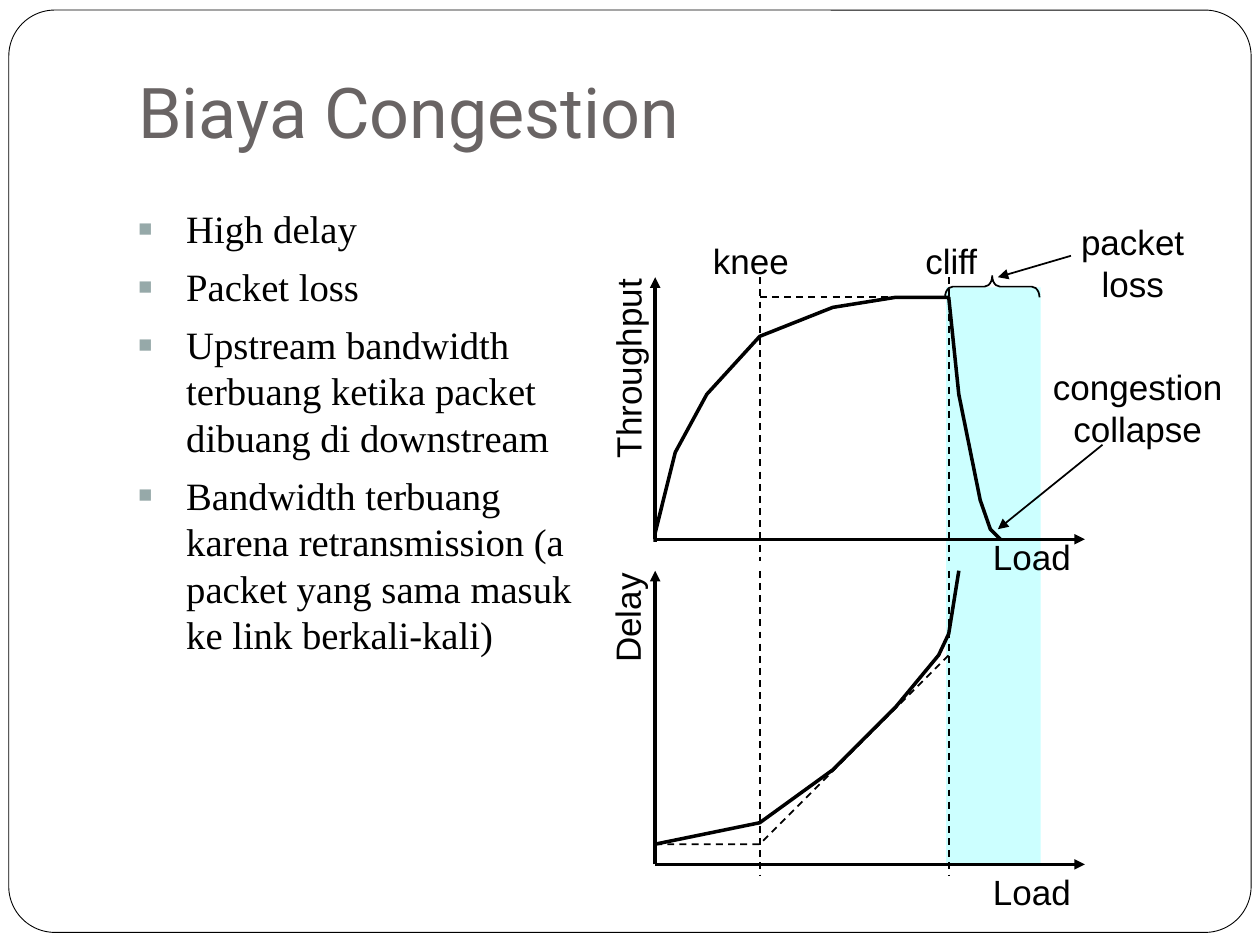
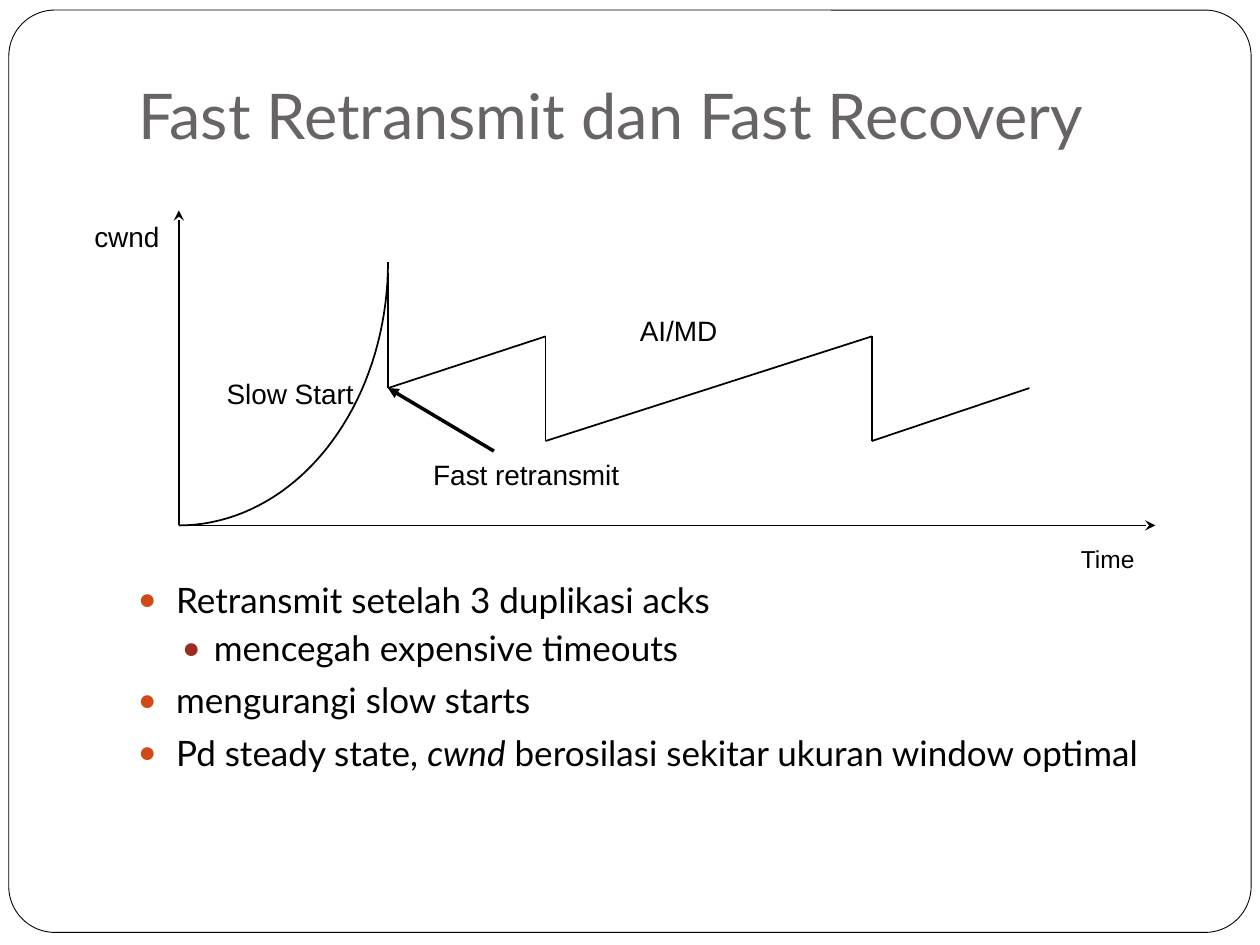
from dataclasses import dataclass
from itertools import pairwise
from math import cos, pi, sin

from lxml.etree import SubElement
from pptx import Presentation
from pptx.dml.color import RGBColor
from pptx.enum.dml import MSO_LINE_DASH_STYLE as Dash
from pptx.enum.shapes import MSO_CONNECTOR as Connector, MSO_SHAPE as Shape
from pptx.enum.text import MSO_ANCHOR as Anchor, MSO_AUTO_SIZE as AutoSize, PP_ALIGN as Align
from pptx.oxml.ns import qn
from pptx.util import Inches, Pt

BLACK, WHITE, TITLE_GREY, LOSS_CYAN = "000000", "FFFFFF", "696464", "CCFFFF"
LABEL_FONT = "Arial"
KNEE, CLIFF, LOAD_START, LOAD_END = 6.03, 7.53, 5.2, 8.61
Point = tuple[float, float]
Box = tuple[float, float, float, float]


@dataclass(frozen=True)
class BulletStyle:
    """Marker, indents and spacing of one list level."""
    marker: str
    color: str
    percent: int
    margin: float
    hanging: float
    before: float
    level: int = 0


@dataclass(frozen=True)
class Bullet:
    """One list item; asterisks enclose italic words."""
    text: str
    style: BulletStyle


@dataclass(frozen=True)
class Label:
    """Unwrapped caption of a diagram part."""
    text: str
    box: Box
    size: float = 20
    align: Align = Align.CENTER
    rotation: float = 0


@dataclass(frozen=True)
class LoadPlot:
    """Graph over load, with its knee and cliff guides."""
    axis_top: float
    axis_bottom: float
    guide_bottom: float
    curve: tuple[Point, ...]
    asymptote: tuple[Point, ...]


SQUARE = BulletStyle("■", "96A9A9", 60, 0.38, 0.38, 6.5)
DOT = BulletStyle("●", "D34817", 85, 0.3, 0.3, 5.8)
SUB_DOT = BulletStyle("●", "9B2D1F", 85, 0.6, 0.25, 3.7, level=1)

COSTS = (
    Bullet("High delay", SQUARE),
    Bullet("Packet loss", SQUARE),
    Bullet("Upstream bandwidth terbuang ketika packet dibuang di downstream", SQUARE),
    Bullet("Bandwidth terbuang karena retransmission (a packet yang sama masuk "
           "ke link berkali-kali)", SQUARE),
)
RECOVERY_POINTS = (
    Bullet("Retransmit setelah 3 duplikasi acks", DOT),
    Bullet("mencegah expensive timeouts", SUB_DOT),
    Bullet("mengurangi slow starts", DOT),
    Bullet("Pd steady state, *cwnd* berosilasi sekitar ukuran window optimal", DOT),
)
DELAY = LoadPlot(
    4.53, 6.86, 6.95,
    ((LOAD_START, 6.7), (KNEE, 6.53), (6.61, 6.11), (7.11, 5.61), (7.45, 5.2),
     (CLIFF, 5.03), (7.61, 4.53)),
    ((LOAD_START, 6.7), (KNEE, 6.7), (CLIFF, 5.2)),
)
THROUGHPUT = LoadPlot(
    2.2, 4.28, 4.45,
    ((LOAD_START, 4.3), (LOAD_START, 4.23), (5.36, 3.59), (5.61, 3.13), (KNEE, 2.67),
     (6.61, 2.44), (7.11, 2.36), (CLIFF, 2.36), (7.61, 3.13), (7.78, 3.97),
     (7.86, 4.2), (7.94, 4.28)),
    ((KNEE, 2.36), (CLIFF, 2.36)),
)
LOAD_LABELS = (
    Label("Load", (7.77, 6.86, 0.84, 0.43)),
    Label("Load", (7.77, 4.2, 0.84, 0.43)),
    Label("Delay", (4.51, 4.69, 0.93, 0.43), rotation=270),
    Label("Throughput", (4.16, 2.71, 1.64, 0.43), rotation=270),
    Label("knee", (5.53, 1.85, 0.86, 0.43)),
    Label("cliff", (7.22, 1.85, 0.66, 0.43)),
    Label("congestion\ncollapse", (8.23, 2.85, 1.6, 0.76)),
    Label("packet\nloss", (8.46, 1.7, 1.06, 0.76)),
)
WINDOW_LABELS = (
    Label("Time", (8.48, 4.27, 0.66, 0.33), 14, Align.LEFT),
    Label("cwnd", (0.65, 1.69, 0.74, 0.37), 16, Align.LEFT),
    Label("Slow Start", (1.7, 2.94, 1.23, 0.37), 16, Align.LEFT),
    Label("AI/MD", (4.98, 2.44, 0.84, 0.37), 16, Align.LEFT),
    Label("Fast retransmit", (3.34, 3.58, 1.7, 0.37), 16, Align.LEFT),
)
SAWTOOTH = ((3.08, 2.17), (3.08, 3.08), (4.33, 2.67), (4.33, 3.5),
            (6.92, 2.67), (6.92, 3.5), (8.17, 3.08))


def rgb(color: str) -> RGBColor:
    """Turn a hex string into a colour."""
    return RGBColor.from_string(color)


def inches(values) -> list:
    """Turn numbers into lengths."""
    return [Inches(value) for value in values]


def style_run(run, font: str, size: float, color: str = BLACK) -> None:
    """Set the face, size and colour of a run."""
    run.font.name, run.font.size = font, Pt(size)
    run.font.color.rgb = rgb(color)


def style_line(line, width: float, dashed: bool = False) -> None:
    """Give a line its colour, width and dash."""
    line.color.rgb, line.width = rgb(BLACK), Pt(width)
    if dashed:
        line.dash_style = Dash.DASH


def add_block(slide, preset: Shape, box: Box, fill: str | None, width: float = 0):
    """Draw a preset shape without shadow."""
    block = slide.shapes.add_shape(preset, *inches(box))
    block.shadow.inherit = False
    if fill:
        block.fill.solid()
        block.fill.fore_color.rgb = rgb(fill)
    else:
        block.fill.background()
    if width:
        style_line(block.line, width)
    else:
        block.line.fill.background()
    return block


def add_line(slide, start: Point, end: Point, width: float = 1,
             dashed: bool = False, arrow: str = "") -> None:
    """Draw a straight line, with an arrowhead at its end if named."""
    line = slide.shapes.add_connector(Connector.STRAIGHT, *inches(start + end))
    style_line(line.line, width, dashed)
    if arrow:
        SubElement(line.line._get_or_add_ln(), qn("a:tailEnd"), type=arrow)
    SubElement(line._element.spPr, qn("a:effectLst"))


def add_curve(slide, points, width: float = 1, dashed: bool = False) -> None:
    """Draw an open outline through the points."""
    start, *rest = [inches(point) for point in points]
    builder = slide.shapes.build_freeform(*start, scale=1.0)
    builder.add_line_segments(rest, close=False)
    curve = builder.convert_to_shape()
    curve.shadow.inherit = False
    curve.fill.background()
    style_line(curve.line, width, dashed)


def add_label(slide, label: Label) -> None:
    """Write a diagram caption."""
    caption = slide.shapes.add_textbox(*inches(label.box))
    caption.rotation = label.rotation
    frame = caption.text_frame
    frame.text = label.text
    frame.word_wrap, frame.auto_size = False, AutoSize.SHAPE_TO_FIT_TEXT
    for paragraph in frame.paragraphs:
        paragraph.alignment = label.align
        style_run(paragraph.runs[0], LABEL_FONT, label.size)


def add_bullets(slide, box: Box, bullets: tuple[Bullet, ...], font: str,
                size: float) -> None:
    """Write a bulleted list."""
    frame = slide.shapes.add_textbox(*inches(box)).text_frame
    frame.word_wrap = True
    for index, bullet in enumerate(bullets):
        style = bullet.style
        paragraph = frame.add_paragraph() if index else frame.paragraphs[0]
        paragraph.level = style.level
        paragraph.space_before = Pt(style.before if index else 0)
        properties = paragraph._p.get_or_add_pPr()
        properties.set("marL", str(Inches(style.margin)))
        properties.set("indent", str(-Inches(style.hanging)))
        marker_color = SubElement(properties, qn("a:buClr"))
        SubElement(marker_color, qn("a:srgbClr"), val=style.color)
        SubElement(properties, qn("a:buSzPct"), val=str(style.percent * 1000))
        SubElement(properties, qn("a:buFont"), typeface=LABEL_FONT)
        SubElement(properties, qn("a:buChar"), char=style.marker)
        for part_index, part in enumerate(bullet.text.split("*")):
            run = paragraph.add_run()
            run.text = part
            style_run(run, font, size)
            run.font.italic = part_index % 2 == 1


def add_slide(deck, title: str, font: str, size: float):
    """Start a slide with the rounded frame and its title."""
    slide = deck.slides.add_slide(deck.slide_layouts[6])
    border = add_block(slide, Shape.ROUNDED_RECTANGLE, (0.07, 0.08, 9.86, 7.32), WHITE, 0.5)
    border.adjustments[0] = 0.05
    frame = slide.shapes.add_textbox(*inches((1, 0.3, 8.5, 1.01))).text_frame
    frame.text = title
    frame.word_wrap, frame.vertical_anchor = True, Anchor.BOTTOM
    frame.margin_bottom = Inches(0.1)
    style_run(frame.paragraphs[0].runs[0], font, size, TITLE_GREY)
    return slide


def add_load_plot(slide, plot: LoadPlot) -> None:
    """Draw axes, guides and curves of one graph over load."""
    origin = (LOAD_START, plot.axis_bottom)
    for axis_end in ((LOAD_START, plot.axis_top), (LOAD_END, plot.axis_bottom)):
        add_line(slide, origin, axis_end, 2, arrow="triangle")
    for load in (KNEE, CLIFF):
        add_line(slide, (load, plot.axis_top), (load, plot.guide_bottom), dashed=True)
    if len(plot.asymptote) == 2:
        add_line(slide, *plot.asymptote, dashed=True)
    else:
        add_curve(slide, plot.asymptote, dashed=True)
    add_curve(slide, plot.curve, 2)


def build_congestion_cost(deck) -> None:
    """Build the slide on the cost of congestion."""
    slide = add_slide(deck, "Biaya Congestion", "Roboto", 40)
    add_bullets(slide, (1, 1.58, 3.76, 5), COSTS, "Times New Roman", 22.1)
    add_block(slide, Shape.RECTANGLE, (7.51, 2.28, 0.75, 4.58), LOSS_CYAN)
    for plot in (DELAY, THROUGHPUT):
        add_load_plot(slide, plot)
    loss_brace = add_block(slide, Shape.RIGHT_BRACE, (7.79, 1.9, 0.17, 0.75), None, 1)
    loss_brace.rotation = 270
    loss_brace.adjustments[0] = 0.36
    for label in LOAD_LABELS:
        add_label(slide, label)
    add_line(slide, (8.75, 3.53), (7.92, 4.2), arrow="triangle")
    add_line(slide, (8.5, 2.03), (7.92, 2.2), arrow="triangle")


def build_fast_recovery(deck) -> None:
    """Build the slide on fast retransmit and fast recovery."""
    slide = add_slide(deck, "Fast Retransmit dan Fast Recovery", "Lato", 36)
    add_bullets(slide, (1, 4.54, 8.5, 2.05), RECOVERY_POINTS, "Lato", 20)
    left, top, width, height = 1.42, 2.08, 1.66, 2.09
    origin = (left, top + height)
    for axis_end in ((left, 1.67), (9.17, top + height)):
        add_line(slide, origin, axis_end, arrow="stealth")
    steps = 40
    angles = [step * pi / 2 / steps for step in range(steps + 1)]
    add_curve(slide, [(left + width * cos(a), top + height * sin(a)) for a in angles])
    for start, end in pairwise(SAWTOOTH):
        add_line(slide, start, end)
    add_line(slide, (3.92, 3.58), SAWTOOTH[1], 2, arrow="triangle")
    for label in WINDOW_LABELS:
        add_label(slide, label)


def main() -> None:
    """Build and save the deck."""
    deck = Presentation()
    deck.slide_width, deck.slide_height = Inches(10), Inches(7.5)
    build_congestion_cost(deck)
    build_fast_recovery(deck)
    deck.save("out.pptx")


if __name__ == "__main__":
    main()
